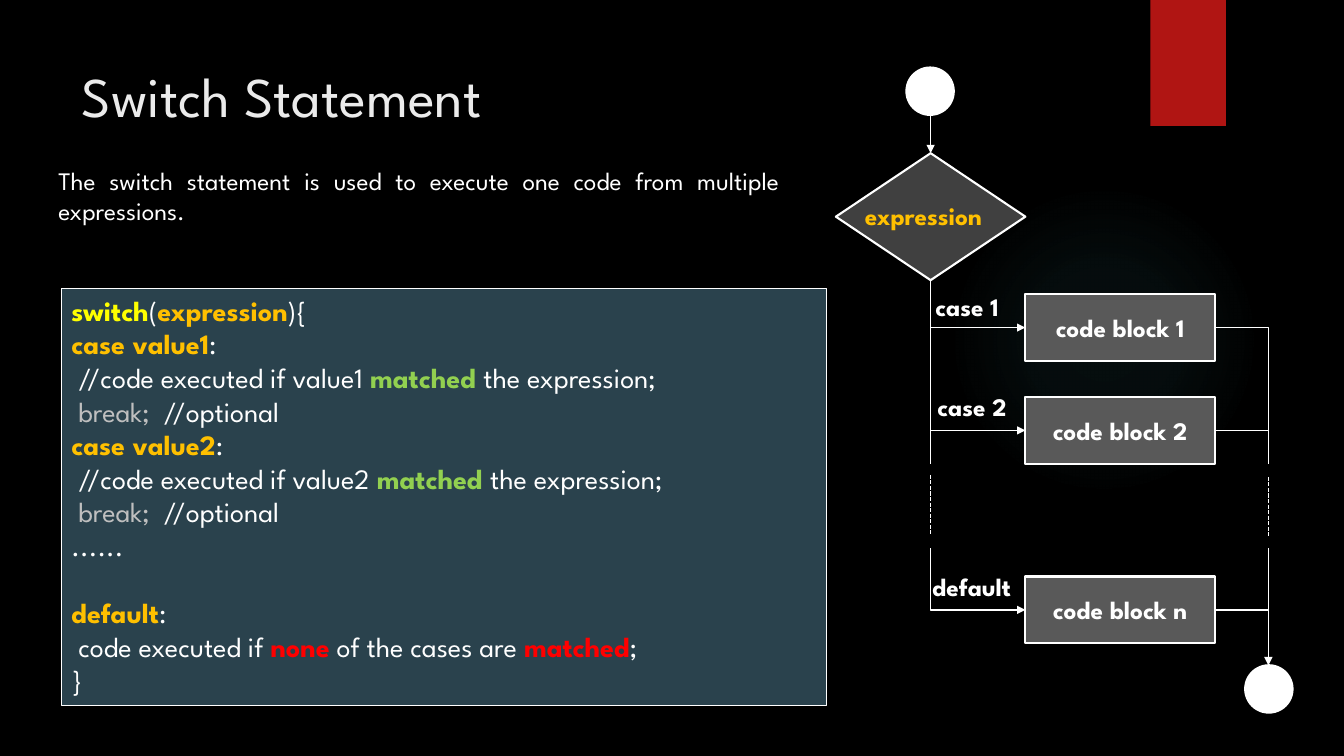
import pptx
import pptx.util
import pptx.dml.color
import pptx.enum.dml
import pptx.enum.shapes
import pptx.enum.text
import pptx.oxml
import pptx.oxml.ns
import lxml.etree

PX = 9144
FONT = "League Spartan"
COLORS = {
    "black": "000000", "white": "FFFFFF", "title": "EBEBEB", "ribbon": "B01513",
    "glow": "50B9C1", "panel": "2A424D", "diamond": "404040", "block": "595959",
    "yellow": "FFFF00", "amber": "FFC000", "green": "92D050", "gray": "BFBFBF",
    "red": "FF0000",
}
CODE_LINES = [
    [("switch", "yellow"), ("(", "white"), ("expression", "amber"), ("){", "white")],
    [("case value1", "amber"), (":", "white")],
    [(" //code executed if value1 ", "white"), ("matched ", "green"),
     ("the expression;", "white")],
    [(" break; ", "gray"), (" //optional", "white")],
    [("case value2", "amber"), (":", "white")],
    [(" //code executed if value2 ", "white"), ("matched ", "green"),
     ("the expression;", "white")],
    [(" break; ", "gray"), (" //optional", "white")],
    [("......", "white")],
    [("default", "amber"), (":", "white")],
    [(" code executed if ", "white"), ("none", "red"),
     (" of the cases are ", "white"), ("matched", "red"), (";", "white")],
    [("}", "white")],
]
BOLD_COLORS = {"yellow", "amber", "green", "red"}
SHAPE = pptx.enum.shapes.MSO_SHAPE
ALIGN = pptx.enum.text.PP_ALIGN
ANCHOR = pptx.enum.text.MSO_ANCHOR


def rgb(name):
    return pptx.dml.color.RGBColor.from_string(COLORS[name])


def style(span, size, color, bold=False):
    span.font.name = FONT
    span.font.size = pptx.util.Pt(size)
    span.font.bold = bold
    span.font.color.rgb = rgb(color)


def write(shape, text, size, color, bold=False, align=ALIGN.LEFT):
    shape.text_frame.word_wrap = True
    shape.text_frame.text = text
    para = shape.text_frame.paragraphs[0]
    para.alignment = align
    style(para.runs[0], size, color, bold)


def add_box(page, kind, box, fill, outline=0):
    shape = page.shapes.add_shape(kind, *[value * PX for value in box])
    shape.shadow.inherit = False
    shape.fill.solid()
    shape.fill.fore_color.rgb = rgb(fill)
    if outline:
        shape.line.color.rgb = rgb("white")
        shape.line.width = pptx.util.Pt(outline)
    else:
        shape.line.fill.background()
    return shape


def add_label(page, box, text, color="white", bold=True, align=ALIGN.LEFT):
    label = page.shapes.add_textbox(*[value * PX for value in box])
    write(label, text, 18, color, bold, align)


def add_line(page, start, end, arrow=False, dashed=False, bend=None):
    kinds = pptx.enum.shapes.MSO_CONNECTOR
    kind = kinds.STRAIGHT if bend is None else kinds.ELBOW
    line = page.shapes.add_connector(kind, *[value * PX for value in start + end])
    line.line.color.rgb = rgb("white")
    line.line.width = pptx.util.Pt(1)
    if dashed:
        line.line.dash_style = pptx.enum.dml.MSO_LINE.SQUARE_DOT
    qn = pptx.oxml.ns.qn
    properties = line._element.spPr
    if arrow:
        outline = properties.find(qn("a:ln"))
        lxml.etree.SubElement(outline, qn("a:tailEnd"), type="triangle")
    if bend is not None:
        adjustments = properties.find(qn("a:prstGeom")).get_or_add_avLst()
        lxml.etree.SubElement(adjustments, qn("a:gd"), name="adj1", fmla=f"val {bend}")
    lxml.etree.SubElement(properties, qn("a:effectLst"))


def add_backdrop(page, glow_box, ribbon_box):
    page.background.fill.solid()
    page.background.fill.fore_color.rgb = rgb("black")
    glow = add_box(page, SHAPE.OVAL, glow_box, "glow")
    stops = "".join(
        f'<a:gs pos="{place}000"><a:srgbClr val="{COLORS["glow"]}">'
        f'<a:alpha val="{alpha}000"/></a:srgbClr></a:gs>'
        for place, alpha in ((0, 7), (36, 6), (69, 0)))
    gradient = pptx.oxml.parse_xml(
        f'<a:gradFill {pptx.oxml.ns.nsdecls("a")}><a:gsLst>{stops}</a:gsLst>'
        '<a:path path="circle"><a:fillToRect l="50000" t="50000" r="50000" b="50000"/>'
        '</a:path></a:gradFill>')
    properties = glow._element.spPr
    properties.replace(properties.find(pptx.oxml.ns.qn("a:solidFill")), gradient)
    add_box(page, SHAPE.RECTANGLE, ribbon_box, "ribbon")


def add_title(page, box):
    title = page.shapes.title
    title.left, title.top, title.width, title.height = [value * PX for value in box]
    title.text_frame.vertical_anchor = ANCHOR.MIDDLE
    write(title, "Switch Statement", 40, "title")


def add_code(page, box):
    panel = add_box(page, SHAPE.RECTANGLE, box, "panel", 1)
    frame = panel.text_frame
    frame.word_wrap = True
    frame.vertical_anchor = ANCHOR.TOP
    for index, parts in enumerate(CODE_LINES):
        para = frame.add_paragraph() if index else frame.paragraphs[0]
        para.alignment = ALIGN.LEFT
        if parts[0][0] == "default":
            para.space_before = pptx.util.Pt(24)
        for text, color in parts:
            span = para.add_run()
            span.text = text
            style(span, 20, color, color in BOLD_COLORS)


def add_flowchart(page, box):
    left, top, width, height = box
    circle, block_width, block_height = 47, 188, 66
    spine = left + 94
    block_left = left + 188
    block_right = block_left + block_width
    bus = left + width - 24
    diamond_top, diamond_height = top + 85, 126
    diamond_bottom = diamond_top + diamond_height
    end_top = top + height - circle
    break_top, break_bottom = top + 393, top + 477

    add_box(page, SHAPE.FLOWCHART_CONNECTOR,
            (spine - 24, top, circle, circle), "white", 1.5)
    add_box(page, SHAPE.FLOWCHART_DECISION,
            (left, diamond_top, block_width, diamond_height), "diamond", 1.5)
    add_box(page, SHAPE.FLOWCHART_CONNECTOR,
            (bus - 23, end_top, circle, circle), "white", 1.5)
    add_label(page, (left + 19, top + 127, 150, 40), "expression", "amber")
    add_line(page, (spine, top + circle), (spine, diamond_top), arrow=True)

    branches = [
        ("case 1", "code block 1", 225, diamond_bottom, -5, -41),
        ("case 2", "code block 2", 327, diamond_bottom, -3, -44),
        ("default", "code block n", 505, break_bottom, -8, -43),
    ]
    for label, caption, offset, origin, shift, rise in branches:
        block_top = top + offset
        middle = block_top + block_height // 2
        block = add_box(page, SHAPE.FLOWCHART_PROCESS,
                        (block_left, block_top, block_width, block_height), "block", 1.5)
        block.text_frame.vertical_anchor = ANCHOR.MIDDLE
        write(block, caption, 18, "white", True, ALIGN.CENTER)
        add_line(page, (spine, origin), (block_left, middle), arrow=True, bend=0)
        add_label(page, (spine + shift, middle + rise, 124, 40), label)
        if label == "case 1":
            add_line(page, (block_right, middle), (bus, break_top), bend=100000)
        else:
            add_line(page, (block_right, middle), (bus, middle))

    add_line(page, (spine, top + 360), (spine, break_top))
    add_line(page, (spine, top + 404), (spine, top + 464), dashed=True)
    add_line(page, (bus, top + 406), (bus, top + 465), dashed=True)
    add_line(page, (bus, break_bottom), (bus, end_top), arrow=True)


def main():
    deck = pptx.Presentation()
    deck.slide_width, deck.slide_height = 1333 * PX, 750 * PX
    page = deck.slides.add_slide(deck.slide_layouts[5])
    add_backdrop(page, (941, 183, 308, 308), (1141, 0, 75, 125))
    add_title(page, (71, 50, 1076, 88))
    add_code(page, (61, 286, 759, 414))
    add_flowchart(page, (829, 67, 453, 640))
    add_label(page, (48, 159, 735, 71),
              "The switch statement is used to execute one code from multiple expressions.",
              bold=False, align=ALIGN.JUSTIFY)
    deck.save("out.pptx")


if __name__ == "__main__":
    main()
